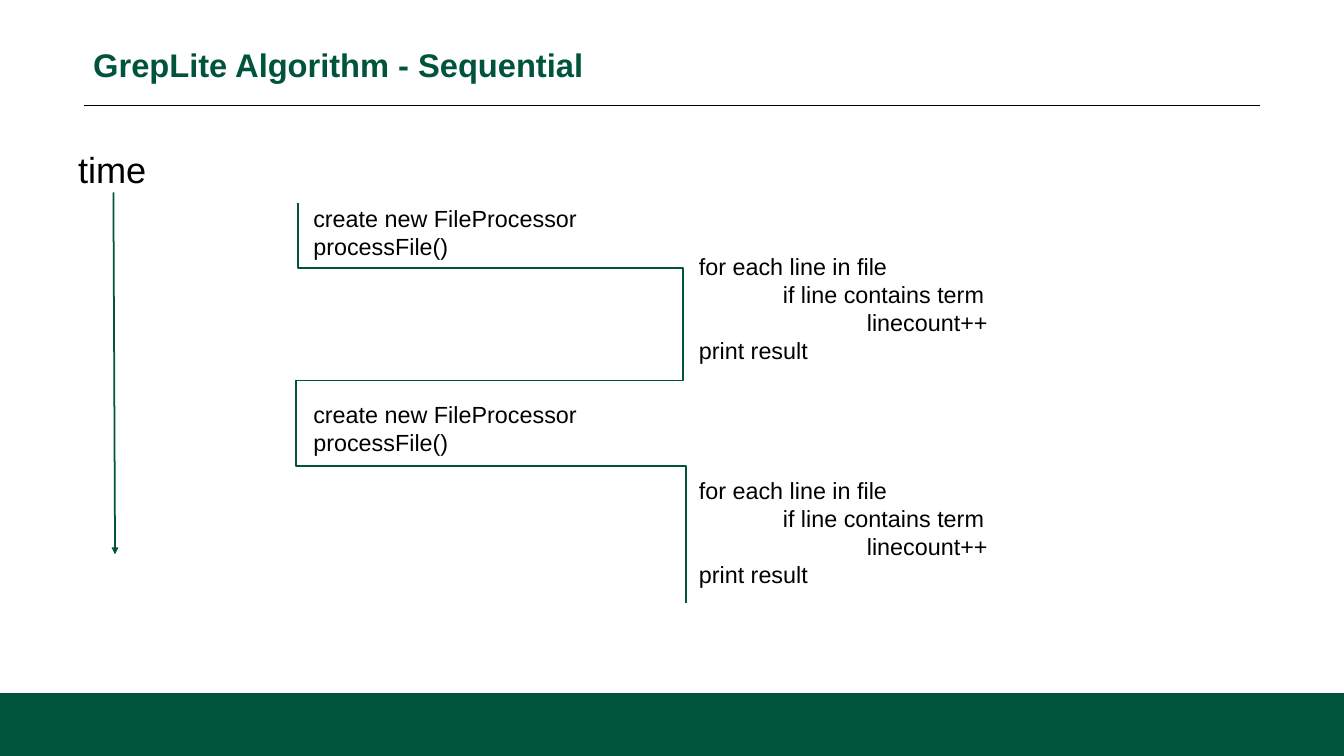
from pptx import Presentation
from pptx.dml.color import RGBColor
from pptx.enum.shapes import MSO_CONNECTOR as Connector, MSO_SHAPE as Shape
from pptx.enum.text import MSO_ANCHOR as Anchor, PP_ALIGN as Align
from pptx.oxml.ns import qn
from pptx.util import Pt
from lxml.etree import SubElement


def color(hex_string):
    return RGBColor.from_string(hex_string)


class SlidePainter:
    GREEN, BLACK = "00543C", "000000"
    FONT, INSET, TAB = "Arial", 9.36, 72

    def __init__(self, slide):
        self.slide = slide
        self.shapes = slide.shapes

    def frame(self, shape, anchor):
        frame = shape.text_frame
        frame.word_wrap = True
        frame.vertical_anchor = anchor
        frame.margin_left = frame.margin_right = Pt(self.INSET)
        frame.margin_top = frame.margin_bottom = Pt(self.INSET)
        return frame

    def style(self, paragraph, size, ink, spacing, bold=False):
        paragraph.alignment = Align.LEFT
        paragraph.line_spacing = spacing
        font = paragraph.font
        font.name, font.size, font.bold = self.FONT, Pt(size), bold
        font.color.rgb = color(ink)

    def title(self, words, left, top, width, height):
        heading = self.shapes.title
        heading.left, heading.top = Pt(left), Pt(top)
        heading.width, heading.height = Pt(width), Pt(height)
        paragraph = self.frame(heading, Anchor.MIDDLE).paragraphs[0]
        paragraph.text = words
        self.style(paragraph, 28, self.GREEN, 1.14, True)

    def text(self, lines, left, top, width, height, size, spacing):
        box = self.shapes.add_textbox(Pt(left), Pt(top), Pt(width), Pt(height))
        frame = self.frame(box, Anchor.TOP)
        for number, (level, words) in enumerate(lines):
            paragraph = frame.add_paragraph() if number else frame.paragraphs[0]
            paragraph.text = words
            self.style(paragraph, size, self.BLACK, spacing)
            paragraph._p.get_or_add_pPr().set("marL", str(Pt(level * self.TAB)))

    def band(self, left, top, width, height):
        bar = self.shapes.add_shape(Shape.RECTANGLE, Pt(left), Pt(top), Pt(width), Pt(height))
        bar.shadow.inherit = False
        bar.fill.solid()
        bar.fill.fore_color.rgb = color(self.GREEN)
        bar.line.fill.background()

    def line(self, start, end, ink, width, arrow=False):
        ends = [Pt(value) for value in (*start, *end)]
        stroke = self.shapes.add_connector(Connector.STRAIGHT, *ends)
        stroke.line.color.rgb = color(ink)
        stroke.line.width = Pt(width)
        if arrow:
            SubElement(stroke.line._get_or_add_ln(), qn("a:tailEnd"), type="triangle")
        SubElement(stroke._element.spPr, qn("a:effectLst"))

    def outline(self, points, width):
        first, *rest = [(Pt(x), Pt(y)) for x, y in points]
        builder = self.shapes.build_freeform(*first, scale=1.0)
        builder.add_line_segments(rest, close=False)
        route = builder.convert_to_shape()
        route.shadow.inherit = False
        route.fill.background()
        route.line.color.rgb = color(self.GREEN)
        route.line.width = Pt(width)


CALL = [(0, "create new FileProcessor"), (0, "processFile()")]
SEARCH = [
    (0, "for each line in file"),
    (1, "if line contains term"),
    (2, "linecount++"),
    (0, "print result"),
]
LINE_HEIGHT = 24


def main():
    deck = Presentation()
    deck.slide_width, deck.slide_height = Pt(1152), Pt(648)
    painter = SlidePainter(deck.slides.add_slide(deck.slide_layouts[5]))

    painter.band(0, 594, 1152, 54)
    painter.line((1080, 90), (72, 90), painter.BLACK, 0.75)
    painter.title("GrepLite Algorithm - Sequential", 70.56, 19.44, 1009.44, 66.96)

    painter.text([(0, "time")], 57.6, 115.2, 112.32, 38.88, 31, 1.04)
    painter.line((97.2, 164.88), (98.64, 475.2), painter.GREEN, 1.5, arrow=True)

    steps = [
        (CALL, 259.2, 165.6),
        (SEARCH, 589.68, 206.4),
        (CALL, 259.2, 333.6),
        (SEARCH, 589.68, 398.4),
    ]
    for lines, left, top in steps:
        height = len(lines) * LINE_HEIGHT + 2 * painter.INSET
        painter.text(lines, left, top, 324, height, 20, Pt(LINE_HEIGHT))

    painter.outline([
        (255.6, 174.24), (255.6, 229.68), (585.36, 229.68), (585.36, 326.16),
        (253.44, 326.16), (253.44, 399.6), (588.24, 399.6), (588.24, 516.96),
    ], 1.5)

    deck.save("out.pptx")


if __name__ == "__main__":
    main()
